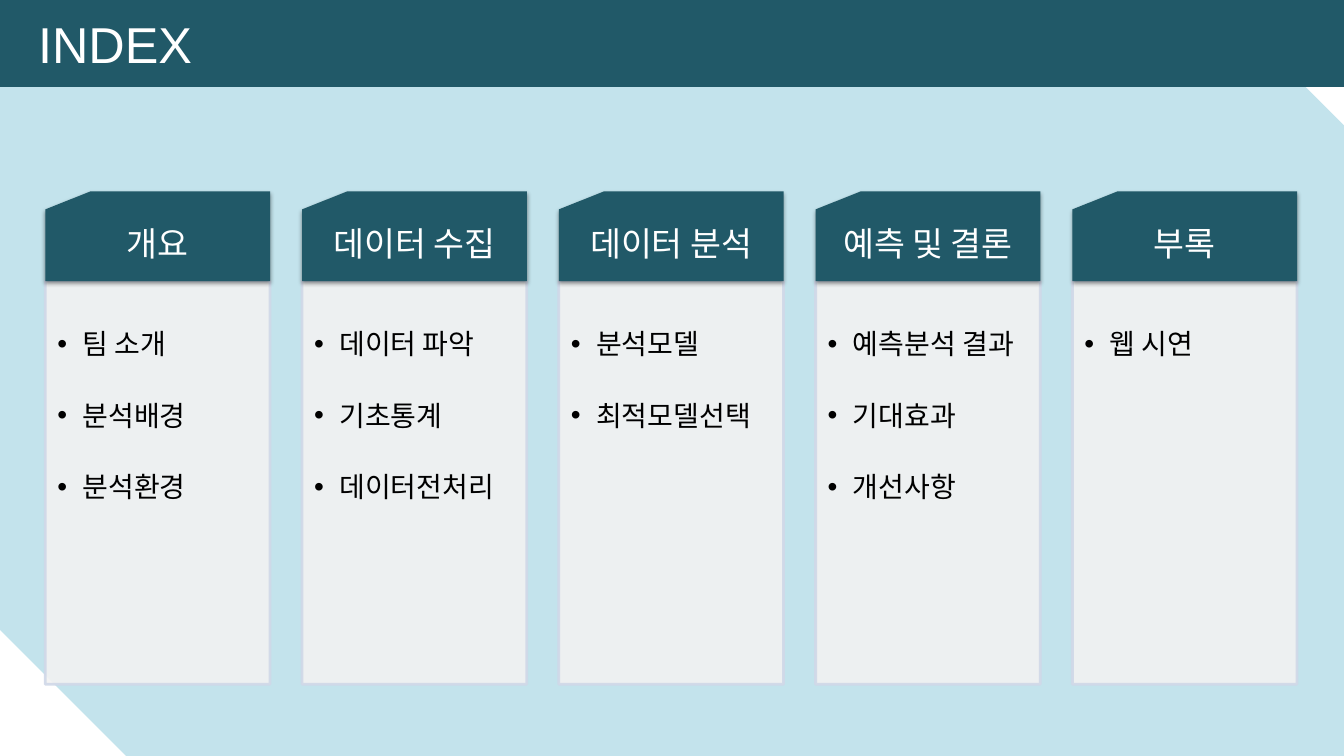
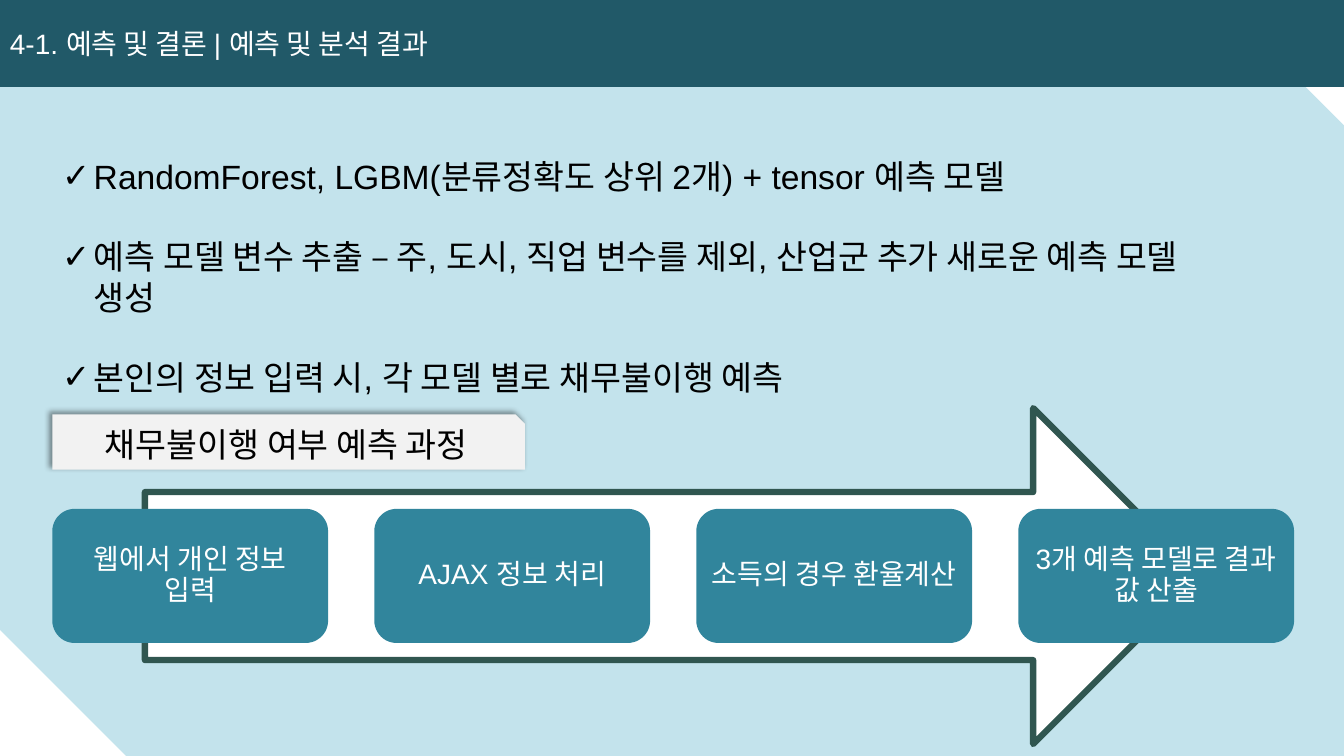
from lxml.etree import SubElement
from pptx import Presentation
from pptx.dml.color import RGBColor
from pptx.enum.shapes import MSO_SHAPE as Preset
from pptx.enum.text import MSO_ANCHOR as Anchor, PP_ALIGN as Align
from pptx.oxml.ns import qn
from pptx.util import Pt

SLIDE_WIDTH, SLIDE_HEIGHT = 960, 540
TEAL, STEP_TEAL, ARROW_GREEN = "215968", "31859C", "305650"
SKY, PANEL, PANEL_EDGE = "93CDDD", "F2F2F2", "D0D8E8"
WHITE, BLACK = "FFFFFF", "000000"
DEFAULT_INSETS = (7.2, 3.6, 7.2, 3.6)

COLUMNS = [
    ("개요", ["팀 소개", "분석배경", "분석환경"]),
    ("데이터 수집", ["데이터 파악", "기초통계", "데이터전처리"]),
    ("데이터 분석", ["분석모델", "최적모델선택"]),
    ("예측 및 결론", ["예측분석 결과", "기대효과", "개선사항"]),
    ("부록", ["웹 시연"]),
]
FINDINGS = [
    "RandomForest, LGBM(분류정확도 상위 2개) + tensor 예측 모델",
    "예측 모델 변수 추출 – 주, 도시, 직업 변수를 제외, 산업군 추가 새로운 예측 모델 생성",
    "본인의 정보 입력 시, 각 모델 별로 채무불이행 예측",
]
STEPS = ["웹에서 개인 정보 입력", "AJAX 정보 처리", "소득의 경우 환율계산", "3개 예측 모델로 결과 값 산출"]


def color(hex_code):
    return RGBColor.from_string(hex_code)


def add_block(slide, preset, box, fill, line=None, line_width=1, opacity=100):
    shape = slide.shapes.add_shape(preset, *map(Pt, box))
    shape.shadow.inherit = False
    shape.fill.solid()
    shape.fill.fore_color.rgb = color(fill)
    if line:
        shape.line.color.rgb = color(line)
        shape.line.width = Pt(line_width)
    else:
        shape.line.fill.background()
    if opacity < 100:
        for tone in shape.element.spPr.iter(qn("a:srgbClr")):
            SubElement(tone, qn("a:alpha"), val=str(opacity * 1000))
    return shape


def add_shadow(shape, blur, distance, angle, opacity):
    effects = shape.element.spPr.find(qn("a:effectLst"))
    shadow = SubElement(effects, qn("a:outerShdw"), blurRad=str(Pt(blur)), dist=str(Pt(distance)),
                        dir=str(angle * 60000), rotWithShape="0")
    tone = SubElement(shadow, qn("a:srgbClr"), val=BLACK)
    SubElement(tone, qn("a:alpha"), val=str(opacity * 1000))


def set_bullet(paragraph, symbol, indent):
    properties = paragraph._p.get_or_add_pPr()
    properties.set("marL", str(Pt(indent)))
    properties.set("indent", str(-Pt(indent)))
    SubElement(properties, qn("a:buFont"), typeface="Arial")
    SubElement(properties, qn("a:buChar"), char=symbol)


def write(shape, lines, size, text_color, font="Arial", align=Align.LEFT, anchor=Anchor.TOP,
          insets=DEFAULT_INSETS, spacing=None, gap=0, bullet=None, indent=0):
    """Fill a shape with paragraphs; gap is the space between them."""
    frame = shape.text_frame
    frame.word_wrap = True
    frame.vertical_anchor = anchor
    frame.margin_left, frame.margin_top, frame.margin_right, frame.margin_bottom = map(Pt, insets)
    for index, line in enumerate(lines):
        paragraph = frame.paragraphs[0] if index == 0 else frame.add_paragraph()
        if bullet:
            set_bullet(paragraph, bullet, indent)
        paragraph.alignment = align
        if spacing:
            paragraph.line_spacing = spacing
        if index:
            paragraph.space_before = Pt(gap)
        run = paragraph.add_run()
        run.text = line
        run.font.name = font
        run.font.size = Pt(size)
        run.font.color.rgb = color(text_color)


def add_base_slide(presentation, title, title_size, title_inset=7.2):
    slide = presentation.slides.add_slide(presentation.slide_layouts[6])
    add_block(slide, Preset.SNIP_2_DIAG_RECTANGLE, (0, -0.5, SLIDE_WIDTH, SLIDE_HEIGHT + 0.5),
              SKY, opacity=55)
    band = add_block(slide, Preset.RECTANGLE, (0, -0.5, SLIDE_WIDTH, 62.5), TEAL)
    write(band, [title], title_size, WHITE, anchor=Anchor.MIDDLE, insets=(title_inset, 3.6, 7.2, 3.6))
    return slide


def add_index_column(slide, left, heading, items):
    width, top, heading_height = 160.5, 136.8, 64
    body = add_block(slide, Preset.RECTANGLE, (left, top + heading_height, width, 288),
                     PANEL, PANEL_EDGE, 2, opacity=90)
    write(body, items, 20, BLACK, insets=(8.6, 8.6, 11.5, 12.2), spacing=2.0, gap=3,
          bullet="•", indent=18)
    card = add_block(slide, Preset.FLOWCHART_CARD, (left, top, width, heading_height), TEAL)
    add_shadow(card, 3.1, 1.6, 90, 38)
    write(card, [heading], 24, WHITE, font="Lato", align=Align.CENTER, anchor=Anchor.MIDDLE,
          insets=(13.4, 7.7, 13.4, 7.7), spacing=0.9)


def add_step(slide, left, text):
    step = add_block(slide, Preset.ROUNDED_RECTANGLE, (left, 363.5, 197, 95.8), STEP_TEAL)
    write(step, [text], 20, WHITE, align=Align.CENTER, anchor=Anchor.MIDDLE,
          insets=(6, 6, 6, 6), spacing=0.9)


def build_index(presentation):
    slide = add_base_slide(presentation, "INDEX", 36, title_inset=27.2)
    for number, (heading, items) in enumerate(COLUMNS):
        add_index_column(slide, 32.4 + number * 183.4, heading, items)


def build_prediction(presentation):
    slide = add_base_slide(presentation, "4-1. 예측 및 결론 | 예측 및 분석 결과", 20)
    findings = slide.shapes.add_textbox(*map(Pt, (37.4, 108, 853, 240)))
    write(findings, FINDINGS, 24, BLACK, gap=28.5, bullet="✓", indent=22.5)
    label = add_block(slide, Preset.SNIP_1_RECTANGLE, (37.4, 296, 337.5, 39.5), PANEL)
    add_shadow(label, 4, 3, 225, 40)
    write(label, ["채무불이행 여부 예측 과정"], 24, BLACK, align=Align.CENTER)
    add_block(slide, Preset.RIGHT_ARROW, (103.5, 291.5, 754.5, 240), WHITE, ARROW_GREEN, 4.5)
    for number, text in enumerate(STEPS):
        add_step(slide, 37.4 + number * 230, text)


def main():
    presentation = Presentation()
    presentation.slide_width, presentation.slide_height = Pt(SLIDE_WIDTH), Pt(SLIDE_HEIGHT)
    build_index(presentation)
    build_prediction(presentation)
    presentation.save("out.pptx")


if __name__ == "__main__":
    main()
